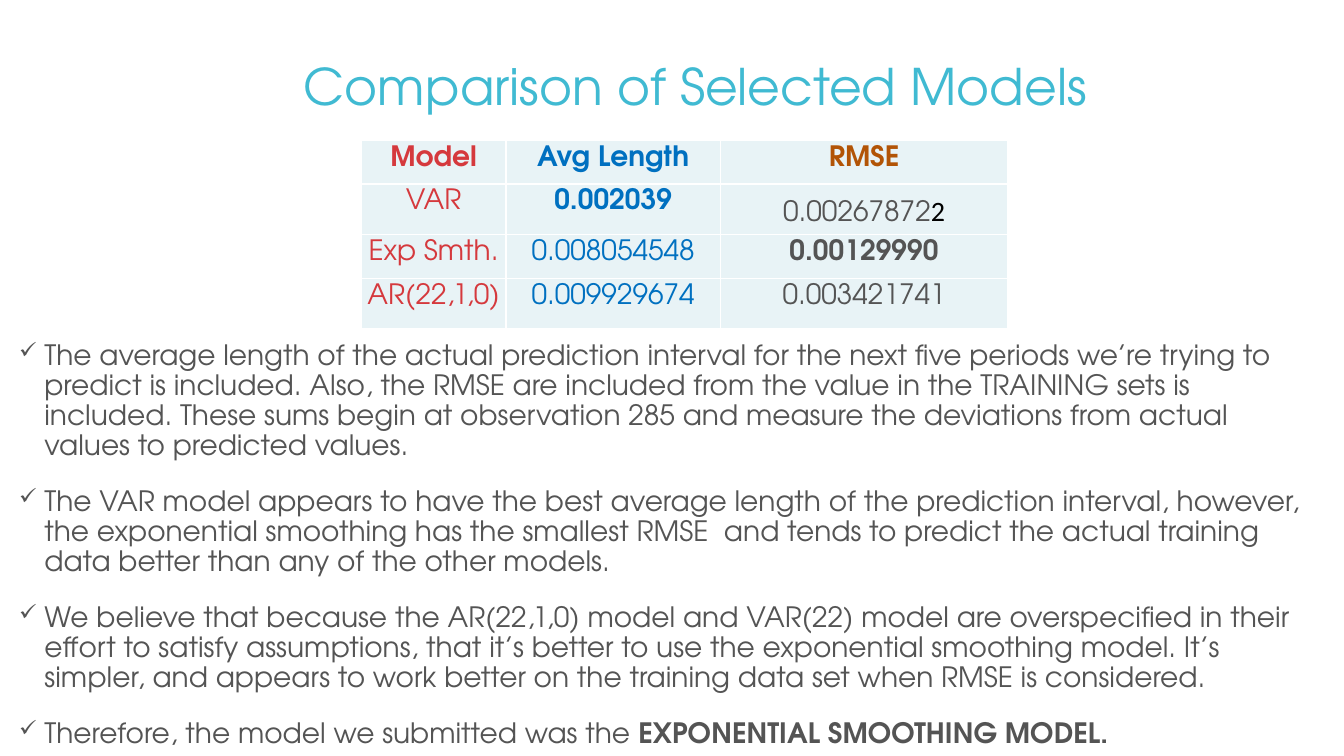
from dataclasses import dataclass

import lxml.etree
import pptx
import pptx.dml.color
import pptx.enum.text
import pptx.oxml.ns
import pptx.util

COLORS = {
    "title": "40BAD2",
    "body": "545454",
    "model": "D5393D",
    "length": "0070C0",
    "rmse": "B25406",
    "black": "000000",
    "cell": "E8F3F6",
    "border": "FFFFFF",
}
FONT = "TeX Gyre Adventor"
GRID_COLUMNS, GRID_ROWS = 160, 90
SLIDE_WIDTH, SLIDE_HEIGHT = pptx.util.Inches(13.33), pptx.util.Inches(7.5)
TABLE_COLUMNS = (17.25, 25.5, 34.25)
TABLE_ROWS = (5, 6, 5.25, 6)
TOP = pptx.enum.text.MSO_ANCHOR.TOP
BOTTOM = pptx.enum.text.MSO_ANCHOR.BOTTOM


@dataclass(frozen=True)
class Area:
    """A place on the slide, in grid columns and rows."""
    column: float
    row: float
    columns: float
    rows: float


@dataclass(frozen=True)
class Span:
    text: str
    color: str = "body"
    bold: bool = False
    size: float = 20
    font: str = FONT


@dataclass(frozen=True)
class Entry:
    """A table cell's text and its layout."""
    spans: tuple[Span, ...]
    side_inset: float = 0.01
    anchor: pptx.enum.text.MSO_ANCHOR = TOP


TITLE_AREA = Area(35, 6, 100, 13)
TABLE_AREA = Area(43, 16.7, sum(TABLE_COLUMNS), sum(TABLE_ROWS))
BODY_AREA = Area(0.5, 40, 158, 49)


def model(name: str, bold: bool = False) -> Entry:
    return Entry((Span(name, "model", bold),))


def length(value: str, bold: bool = False) -> Entry:
    return Entry((Span(value, "length", bold),))


def rmse(*spans: Span, anchor: pptx.enum.text.MSO_ANCHOR = TOP) -> Entry:
    return Entry(spans, 0.1, anchor)


COMPARISON = (
    (model("Model", True), length("Avg Length", True),
     Entry((Span("RMSE", "rmse", True),))),
    (model("VAR"), length("0.002039", True),
     rmse(Span("0.00267872"), Span("2", "black", font="Calibri"), anchor=BOTTOM)),
    (model("Exp Smth."), length("0.008054548"), rmse(Span("0.00129990", bold=True))),
    (model("AR(22,1,0)"), length("0.009929674"), rmse(Span("0.003421741"))),
)

FINDINGS = (
    (Span("The average length of the actual prediction interval for the next five periods "
          "we’re trying to predict is included. Also, the RMSE are included from the value "
          "in the TRAINING sets is included. These sums begin at observation 285 and measure "
          "the deviations from actual values to predicted values."),),
    (Span("The VAR model appears to have the best average length of the prediction interval, "
          "however, the exponential smoothing has the smallest RMSE  and tends to predict the "
          "actual training data better than any of the other models."),),
    (Span("We believe that because the AR(22,1,0) model and VAR(22) model are overspecified in "
          "their effort to satisfy assumptions, that it’s better to use the exponential "
          "smoothing model. It’s simpler, and appears to work better on the training data set "
          "when RMSE is considered."),),
    (Span("Therefore, the model we submitted was the "),
     Span("EXPONENTIAL SMOOTHING MODEL.", bold=True)),
)


def across(columns: float) -> int:
    return round(SLIDE_WIDTH * columns / GRID_COLUMNS)


def down(rows: float) -> int:
    return round(SLIDE_HEIGHT * rows / GRID_ROWS)


def place(area: Area) -> tuple[int, int, int, int]:
    return across(area.column), down(area.row), across(area.columns), down(area.rows)


def rgb(name: str) -> pptx.dml.color.RGBColor:
    return pptx.dml.color.RGBColor.from_string(COLORS[name])


def add_element(parent, tag: str, **attributes: str):
    return lxml.etree.SubElement(parent, pptx.oxml.ns.qn(tag), attributes)


def add_spans(para, spans: tuple[Span, ...]) -> None:
    for span in spans:
        run = para.add_run()
        run.text = span.text
        run.font.name = span.font
        run.font.size = pptx.util.Pt(span.size)
        run.font.bold = span.bold
        run.font.color.rgb = rgb(span.color)


def add_text_frame(page, area: Area):
    frame = page.shapes.add_textbox(*place(area)).text_frame
    frame.word_wrap = True
    frame.vertical_anchor = TOP
    return frame


def set_check_bullet(para) -> None:
    properties = para._p.get_or_add_pPr()
    properties.set("marL", str(pptx.util.Inches(0.3)))
    properties.set("indent", str(pptx.util.Inches(-0.25)))
    bullet_color = add_element(properties, "a:buClr")
    add_element(bullet_color, "a:srgbClr", val=COLORS["body"])
    add_element(properties, "a:buSzPct", val="80000")
    add_element(properties, "a:buChar", char="✓")


def add_findings(page) -> None:
    frame = add_text_frame(page, BODY_AREA)
    for index, spans in enumerate(FINDINGS):
        para = frame.add_paragraph() if index else frame.paragraphs[0]
        para.line_spacing = 0.9
        para.space_before = pptx.util.Pt(18)
        set_check_bullet(para)
        add_spans(para, spans)


def set_borders(cell) -> None:
    properties = cell._tc.get_or_add_tcPr()
    for index, side in enumerate(("a:lnL", "a:lnR", "a:lnT", "a:lnB")):
        line = add_element(properties, side, w=str(pptx.util.Pt(0.96)))
        fill = add_element(line, "a:solidFill")
        add_element(fill, "a:srgbClr", val=COLORS["border"])
        properties.insert(index, line)


def fill_cell(cell, entry: Entry) -> None:
    cell.fill.solid()
    cell.fill.fore_color.rgb = rgb("cell")
    set_borders(cell)
    cell.margin_left = cell.margin_right = pptx.util.Inches(entry.side_inset)
    cell.margin_top = cell.margin_bottom = pptx.util.Inches(0.05)
    cell.vertical_anchor = entry.anchor
    para = cell.text_frame.paragraphs[0]
    para.alignment = pptx.enum.text.PP_ALIGN.CENTER
    add_spans(para, entry.spans)


def add_comparison(page) -> None:
    table = page.shapes.add_table(
        len(TABLE_ROWS), len(TABLE_COLUMNS), *place(TABLE_AREA)).table
    table.first_row = table.horz_banding = False
    for column, width in zip(table.columns, TABLE_COLUMNS):
        column.width = across(width)
    for row, height, entries in zip(table.rows, TABLE_ROWS, COMPARISON):
        row.height = down(height)
        for cell, entry in zip(row.cells, entries):
            fill_cell(cell, entry)


def main() -> None:
    deck = pptx.Presentation()
    deck.slide_width, deck.slide_height = SLIDE_WIDTH, SLIDE_HEIGHT
    page = deck.slides.add_slide(deck.slide_layouts[6])
    title = add_text_frame(page, TITLE_AREA)
    add_spans(title.paragraphs[0],
              (Span("Comparison of Selected Models", "title", size=36),))
    add_findings(page)
    add_comparison(page)
    deck.save("out.pptx")


if __name__ == "__main__":
    main()
